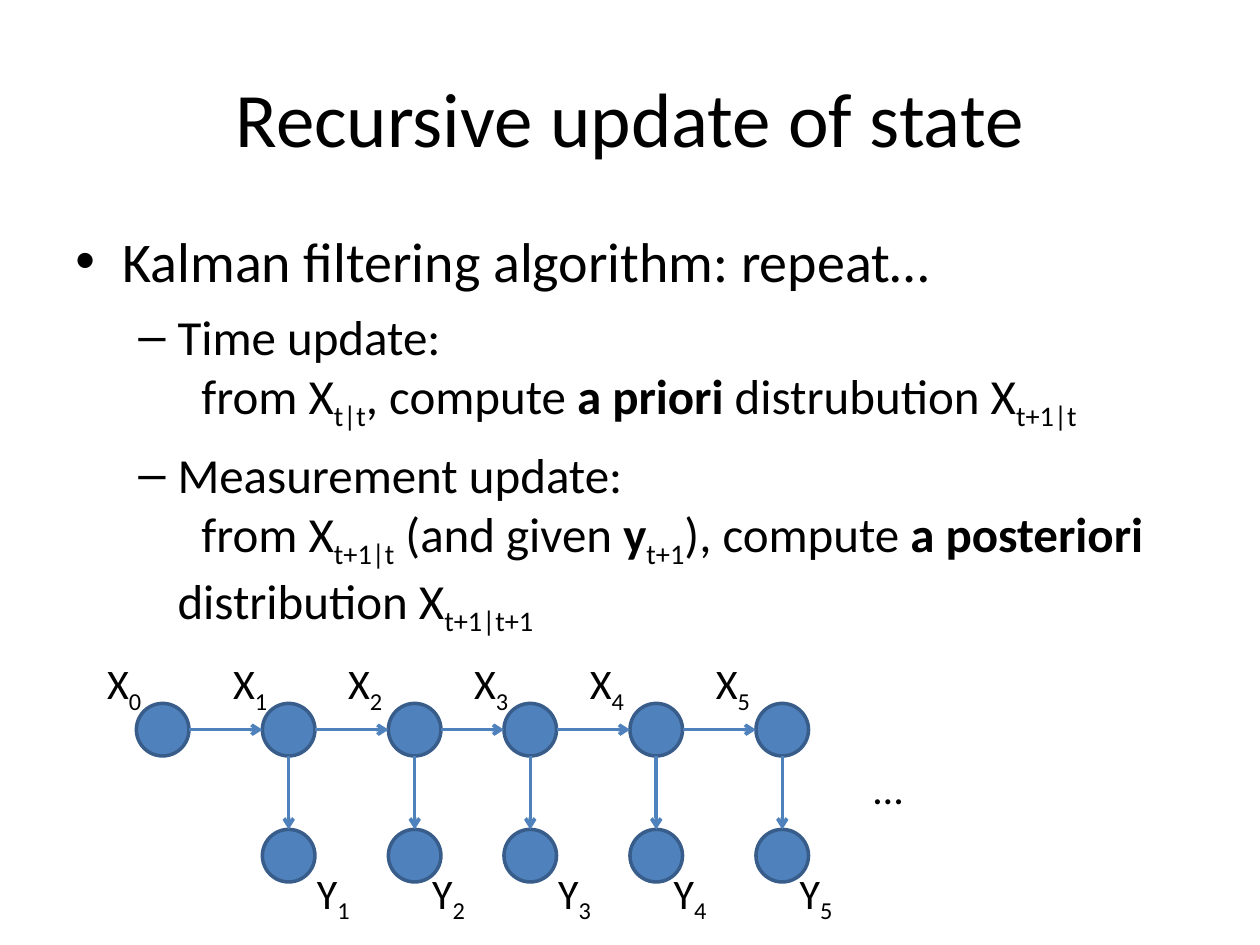
from dataclasses import dataclass

from lxml import etree
from pptx import Presentation, util as u
from pptx.dml.color import RGBColor
from pptx.enum import shapes, text
from pptx.oxml import ns


@dataclass(frozen=True)
class Theme:
    font: str = "Calibri"
    ink: RGBColor = RGBColor(0, 0, 0)
    fill: RGBColor = RGBColor(0x4F, 0x81, 0xBD)
    edge: RGBColor = RGBColor(0x38, 0x5D, 0x8A)
    line: float = 2
    title: int = 44
    main: int = 32
    sub: int = 28
    label: int = 24


T = Theme()
SIZE = 1.06  # node diameter, cm
TOP, LOW = 14.18, 16.72  # tops of the state and measurement rows
NODES = [2.75, 5.29, 7.83, 10.16, 12.7, 15.24]
LABELS = [1.91, 4.45, 6.77, 9.31, 11.64, 14.18]
SHIFT = 1.69  # from an X label to the Y label below it

# (text, size, left margin, hanging indent, bullet, space before)
POINTS = [
    ("Kalman filtering algorithm: repeat…", T.main, 0.95, 0.95, "•", 0),
    ("Time update:\n\tfrom X~t|t~, compute *a priori *distrubution X~t+1|t~",
     T.sub, 2.06, 0.79, "–", 7),
    ("Measurement update:\n\tfrom X~t+1|t~ (and given *y*~t+1~), compute "
     "*a posteriori *distribution X~t+1|t+1~", T.sub, 2.06, 0.79, "–", 7),
]


def add_runs(para, words, size):
    """Fill a paragraph; *bold*, ~subscript~ and line feeds are marked."""
    for i, part in enumerate(words.split("*")):
        for j, piece in enumerate(part.split("~")):
            for k, line in enumerate(piece.split("\n")):
                if k:
                    para.add_line_break()
                if not line:
                    continue
                run = para.add_run()
                run.text = line
                font = run.font
                font.name, font.size = T.font, u.Pt(size)
                font.color.rgb = T.ink
                font.bold = i % 2 == 1
                if j % 2:
                    run._r.get_or_add_rPr().set("baseline", "-25000")


def add_bullet(para, mark, left, hang):
    props = para._p.get_or_add_pPr()
    props.set("marL", str(u.Cm(left)))
    props.set("indent", str(-u.Cm(hang)))
    font = etree.SubElement(props, ns.qn("a:buFont"))
    font.set("typeface", "Arial")
    etree.SubElement(props, ns.qn("a:buChar")).set("char", mark)
    tabs = etree.SubElement(props, ns.qn("a:tabLst"))
    tab = etree.SubElement(tabs, ns.qn("a:tab"))
    tab.set("pos", str(u.Cm(2.54)))
    tab.set("algn", "l")


def add_box(slide, left, top, width, height, anchor=text.MSO_ANCHOR.TOP):
    box = slide.shapes.add_textbox(*map(u.Cm, (left, top, width, height)))
    frame = box.text_frame
    frame.word_wrap = True
    frame.vertical_anchor = anchor
    return frame


def add_text(slide, words, left, top, width, height, size=T.label,
             align=text.PP_ALIGN.LEFT, anchor=text.MSO_ANCHOR.TOP):
    para = add_box(slide, left, top, width, height, anchor).paragraphs[0]
    para.alignment = align
    add_runs(para, words, size)


def add_points(slide):
    frame = add_box(slide, 1.27, 4.45, 22.86, 10.16)
    for i, (words, size, left, hang, mark, gap) in enumerate(POINTS):
        para = frame.add_paragraph() if i else frame.paragraphs[0]
        add_bullet(para, mark, left, hang)
        para.space_before = u.Pt(gap)
        add_runs(para, words, size)


def add_node(slide, left, top):
    node = slide.shapes.add_shape(
        shapes.MSO_SHAPE.OVAL, *map(u.Cm, (left, top, SIZE, SIZE)))
    node.shadow.inherit = False
    node.fill.solid()
    node.fill.fore_color.rgb = T.fill
    node.line.color.rgb = T.edge
    node.line.width = u.Pt(T.line)


def add_arrow(slide, *ends):
    arrow = slide.shapes.add_connector(
        shapes.MSO_CONNECTOR.STRAIGHT, *map(u.Cm, ends))
    arrow.line.color.rgb = T.fill
    arrow.line.width = u.Pt(T.line)
    tail = etree.SubElement(arrow.line._get_or_add_ln(), ns.qn("a:tailEnd"))
    tail.set("type", "arrow")
    etree.SubElement(arrow._element.spPr, ns.qn("a:effectLst"))


def add_chain(slide):
    """Draw the states, their measurements, the arrows and the labels."""
    half = SIZE / 2
    for i, left in enumerate(NODES):
        add_node(slide, left, TOP)
        if i:
            mid = left + half
            add_node(slide, left, LOW)
            add_arrow(slide, NODES[i - 1] + SIZE, TOP + half, left, TOP + half)
            add_arrow(slide, mid, TOP + SIZE, mid, LOW)
    for i, left in enumerate(LABELS):
        add_text(slide, f"X~{i}~", left, 13.13, 2.12, 1.42)
        if i:
            add_text(slide, f"Y~{i}~", left + SHIFT, 17.36, 2.12, 1.42)
    add_text(slide, "…", 17.36, 15.24, 2.96, 1.27)


def main():
    deck = Presentation()
    deck.slide_width, deck.slide_height = u.Cm(25.4), u.Cm(19.05)
    slide = deck.slides.add_slide(deck.slide_layouts[6])
    add_text(slide, "Recursive update of state", 1.27, 0.76, 22.86, 3.18,
             size=T.title, align=text.PP_ALIGN.CENTER,
             anchor=text.MSO_ANCHOR.MIDDLE)
    add_points(slide)
    add_chain(slide)
    deck.save("out.pptx")


if __name__ == "__main__":
    main()
